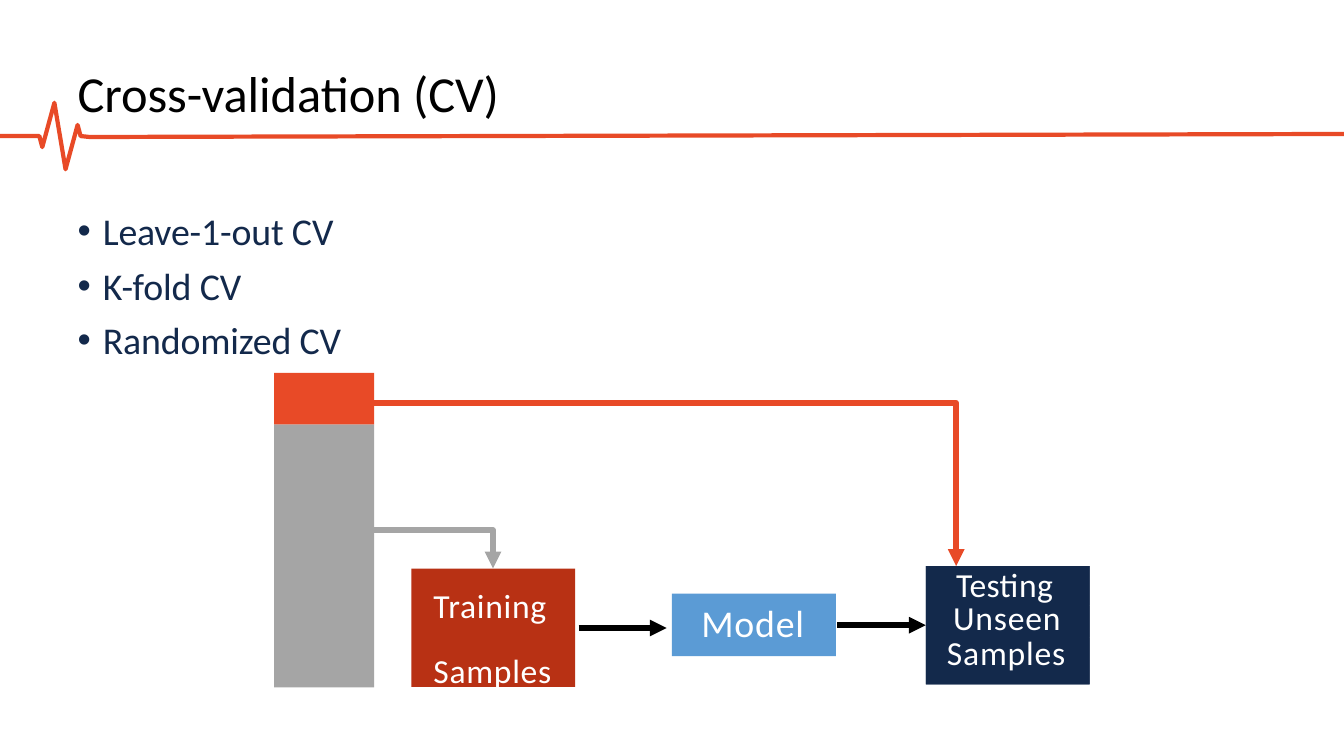
from lxml import etree
from pptx import Presentation
from pptx.dml.color import RGBColor
from pptx.enum.shapes import MSO_CONNECTOR, MSO_SHAPE
from pptx.enum.text import MSO_ANCHOR, MSO_AUTO_SIZE, PP_ALIGN
from pptx.oxml.ns import qn
from pptx.util import Inches, Pt

WIDTH, HEIGHT = Inches(13.33), Inches(7.5)
STRAIGHT, RECTANGLE = MSO_CONNECTOR.STRAIGHT, MSO_SHAPE.RECTANGLE
TOP, FIXED, LEFT = MSO_ANCHOR.TOP, MSO_AUTO_SIZE.NONE, PP_ALIGN.LEFT
FONT, BULLET_FONT = "Calibri", "Arial"
ORANGE, GRAY, NAVY = "E84A27", "A5A5A5", "13294B"
RUST, BLUE, WHITE, BLACK = "B83114", "5B9BD5", "FFFFFF", "000000"
FLOW_WIDTH, PULSE_WIDTH = 4, 3
BOX_WIDTH, BOX_HEIGHT = 12.2, 15.67
TEST_LEFT, TEST_TOP = 68.88, 74.87
TEST_LINES = [("Testing", 5.2, 0.3, 27.3, 0.2), ("Unseen", 4.27, 0.27, 23.1, 0.6),
              ("Samples", 6.2, 0.21, 24.5, 0.6)]
HEARTBEAT = [(0, 18), (2.33, 18), (2.93, 18), (3.15, 19.47), (4.05, 13.6),
             (4.88, 22.4), (5.78, 16.53), (6, 18), (6.67, 18.13), (100, 17.73)]


def place(across, down):
    return round(WIDTH * across / 100), round(HEIGHT * down / 100)


def color(code):
    return RGBColor.from_string(code)


def add_bullet(para):
    properties = para._p.get_or_add_pPr()
    properties.set("marL", str(Inches(0.26)))
    properties.set("indent", str(Inches(-0.25)))
    etree.SubElement(properties, qn("a:buFont")).set("typeface", BULLET_FONT)
    etree.SubElement(properties, qn("a:buChar")).set("char", "•")


def write(shape, lines, size, ink, spacing, side=0, inset=0, gap=0, pitch=None, bullet=False):
    frame = shape.text_frame
    frame.word_wrap = True
    frame.auto_size = FIXED
    frame.vertical_anchor = TOP
    frame.margin_left = Inches(side)
    frame.margin_right = frame.margin_bottom = 0
    frame.margin_top = Inches(inset)
    frame.text = "\n".join(lines)
    for index, para in enumerate(frame.paragraphs):
        para.alignment = LEFT
        para.space_before = Pt(gap if index else 0)
        if pitch:
            para.line_spacing = Pt(pitch)
        if bullet:
            add_bullet(para)
        for span in para.runs:
            span.font.name = FONT
            span.font.size = Pt(size)
            span.font.color.rgb = color(ink)
            span._r.get_or_add_rPr().set("spc", str(round(spacing * 100)))


def add_block(page, left, top, width, height, fill):
    box = page.shapes.add_shape(RECTANGLE, *place(left, top), *place(width, height))
    box.shadow.inherit = False
    box.fill.solid()
    box.fill.fore_color.rgb = color(fill)
    box.line.fill.background()
    return box


def style_line(shape, ink, width, arrow):
    shape.line.color.rgb = color(ink)
    shape.line.width = Pt(width)
    if arrow:
        outline = shape.line._get_or_add_ln()
        etree.SubElement(outline, qn("a:tailEnd")).set("type", "triangle")


def add_arrow(page, start, end):
    arrow = page.shapes.add_connector(STRAIGHT, *place(*start), *place(*end))
    style_line(arrow, BLACK, FLOW_WIDTH, True)
    etree.SubElement(arrow._element.spPr, qn("a:effectLst"))


def add_route(page, points, ink, width, arrow=False):
    corners = [place(*point) for point in points]
    builder = page.shapes.build_freeform(*corners[0])
    builder.add_line_segments(corners[1:], close=False)
    route = builder.convert_to_shape()
    route.shadow.inherit = False
    route.fill.background()
    style_line(route, ink, width, arrow)


def add_title(page):
    title = page.shapes.title
    title.left, title.top = place(5.77, 8.13)
    title.width, title.height = place(68.1, 8.27)
    write(title, ["Cross-validation (CV)"], 36, BLACK, -0.05, inset=0.01)


def add_methods(page):
    box = page.shapes.add_textbox(*place(5.7, 26.13), *place(20, 22))
    write(box, ["Leave-1-out CV", "K-fold CV", "Randomized CV"], 27, NAVY, -0.1,
          inset=0.1, gap=6.7, bullet=True)


def add_testing(page):
    add_block(page, TEST_LEFT, TEST_TOP, BOX_WIDTH, BOX_HEIGHT, NAVY)
    top = TEST_TOP
    for text, height, side, pitch, spacing in TEST_LINES:
        strip = add_block(page, TEST_LEFT, top, BOX_WIDTH, height, NAVY)
        write(strip, [text], 24, WHITE, spacing, side=side, pitch=pitch)
        top += height


def add_flow(page):
    add_block(page, 20.4, 56.13, 7.44, 34.8, GRAY)
    add_block(page, 20.4, 49.33, 7.44, 6.8, ORANGE)
    training = add_block(page, 30.6, 75.2, BOX_WIDTH, BOX_HEIGHT, RUST)
    write(training, ["Training", "Samples"], 24, WHITE, 0.5, side=0.22, inset=0.24, gap=23.5, pitch=23)
    model = add_block(page, 50, 78.53, BOX_WIDTH, 8.27, BLUE)
    write(model, ["Model"], 27, WHITE, 0.6, side=0.29, inset=0.06)
    add_testing(page)
    add_arrow(page, (43.05, 83.07), (49.6, 83.07))
    add_arrow(page, (62.3, 82.7), (68.88, 82.7))
    add_route(page, [(27.84, 53.27), (71.14, 53.27), (71.14, 74.87)], ORANGE, FLOW_WIDTH, True)
    add_route(page, [(27.84, 70.13), (36.68, 70.13), (36.68, 75.2)], GRAY, FLOW_WIDTH, True)


def main():
    deck = Presentation()
    deck.slide_width, deck.slide_height = WIDTH, HEIGHT
    page = deck.slides.add_slide(deck.slide_layouts[5])
    add_title(page)
    add_methods(page)
    add_flow(page)
    add_route(page, HEARTBEAT, ORANGE, PULSE_WIDTH)
    deck.save("out.pptx")


if __name__ == "__main__":
    main()
